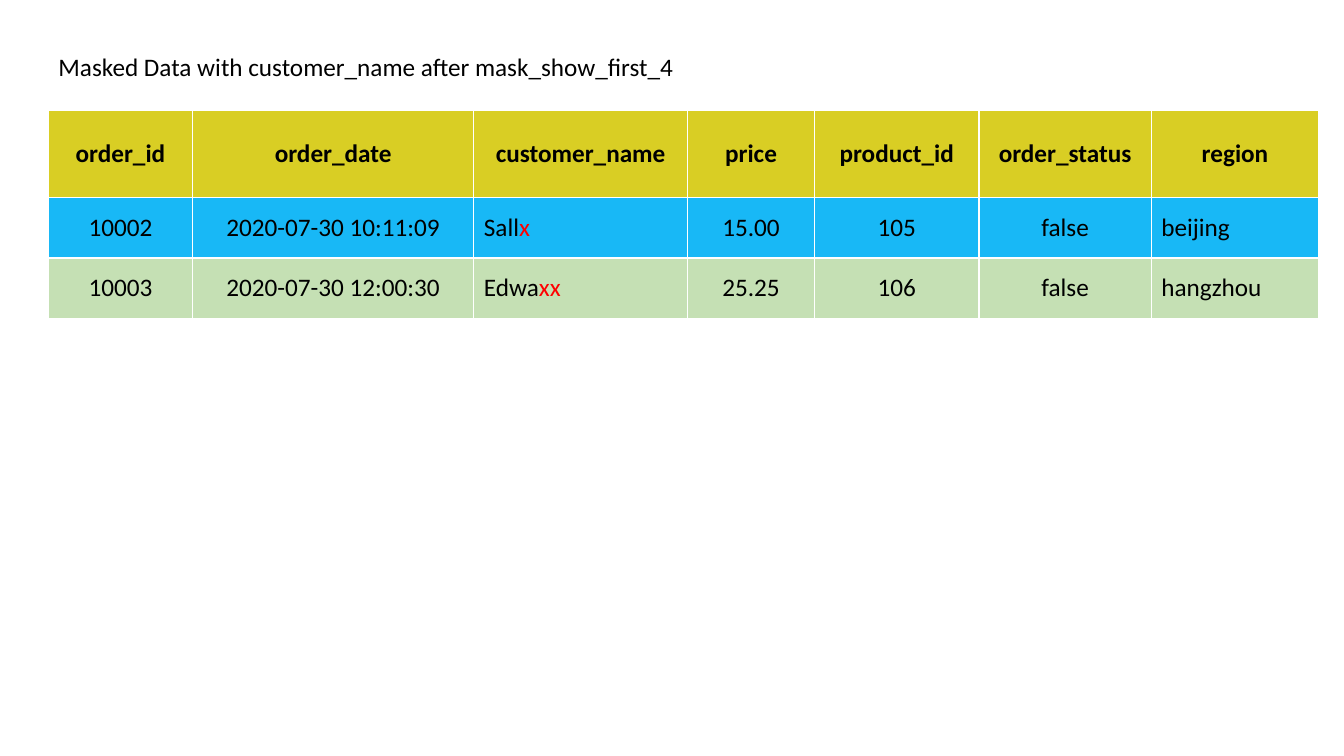
"""Build a slide with a table of orders whose customer names are masked."""
from pptx import Presentation
from pptx.dml.color import RGBColor
from pptx.enum.text import MSO_ANCHOR as Anchor, PP_ALIGN as Align
from pptx.util import Inches, Pt


def paint(fill, color):
    fill.solid()
    fill.fore_color.rgb = RGBColor.from_string(color)


def write(para, text, color="000000", bold=False):
    run = para.add_run()
    run.text = text
    style = {"name": "Calibri", "size": Pt(18), "bold": bold}
    for key, value in style.items():
        setattr(run.font, key, value)
    paint(run.font.fill, color)


deck = Presentation()
deck.slide_width, deck.slide_height = Inches(13.33), Inches(7.5)
slide = deck.slides.add_slide(deck.slide_layouts[5])

title = slide.shapes.title
place = {"left": 0.48, "top": 0.46, "width": 7.09, "height": 0.4}
for key, value in place.items():
    setattr(title, key, Inches(value))
title.text_frame.vertical_anchor = Anchor.TOP
para = title.text_frame.paragraphs[0]
para.alignment = Align.LEFT
write(para, "Masked Data with customer_name after mask_show_first_4")

fields = ["order_id", "order_date", "customer_name", "price",
          "product_id", "order_status", "region"]
widths = [1.43, 2.79, 2.12, 1.26, 1.63, 1.71, 1.66]
orders = [
    ["10002", "2020-07-30 10:11:09", ("Sall", "x"), "15.00", "105", "false", "beijing"],
    ["10003", "2020-07-30 12:00:30", ("Edwa", "xx"), "25.25", "106", "false", "hangzhou"],
]
rows = [fields] + orders
heights = [0.86, 0.6, 0.6]
fills = ["D9CE24", "18B8F6", "C5E0B4"]
left = {"customer_name", "region"}

table = slide.shapes.add_table(
    len(rows), len(fields), Inches(0.48), Inches(1.1),
    Inches(sum(widths)), Inches(sum(heights))).table
for col, width in zip(table.columns, widths):
    col.width = Inches(width)

for r, (row, height, fill) in enumerate(zip(rows, heights, fills)):
    table.rows[r].height = Inches(height)
    head = r == 0
    for c, (field, value) in enumerate(zip(fields, row)):
        cell = table.cell(r, c)
        cell.vertical_anchor = Anchor.MIDDLE
        paint(cell.fill, fill)
        para = cell.text_frame.paragraphs[0]
        para.alignment = Align.LEFT if field in left and not head else Align.CENTER
        shown, mask = value if isinstance(value, tuple) else (value, "")
        write(para, shown, bold=head)
        if mask:
            write(para, mask, "FF0000")

deck.save("out.pptx")
